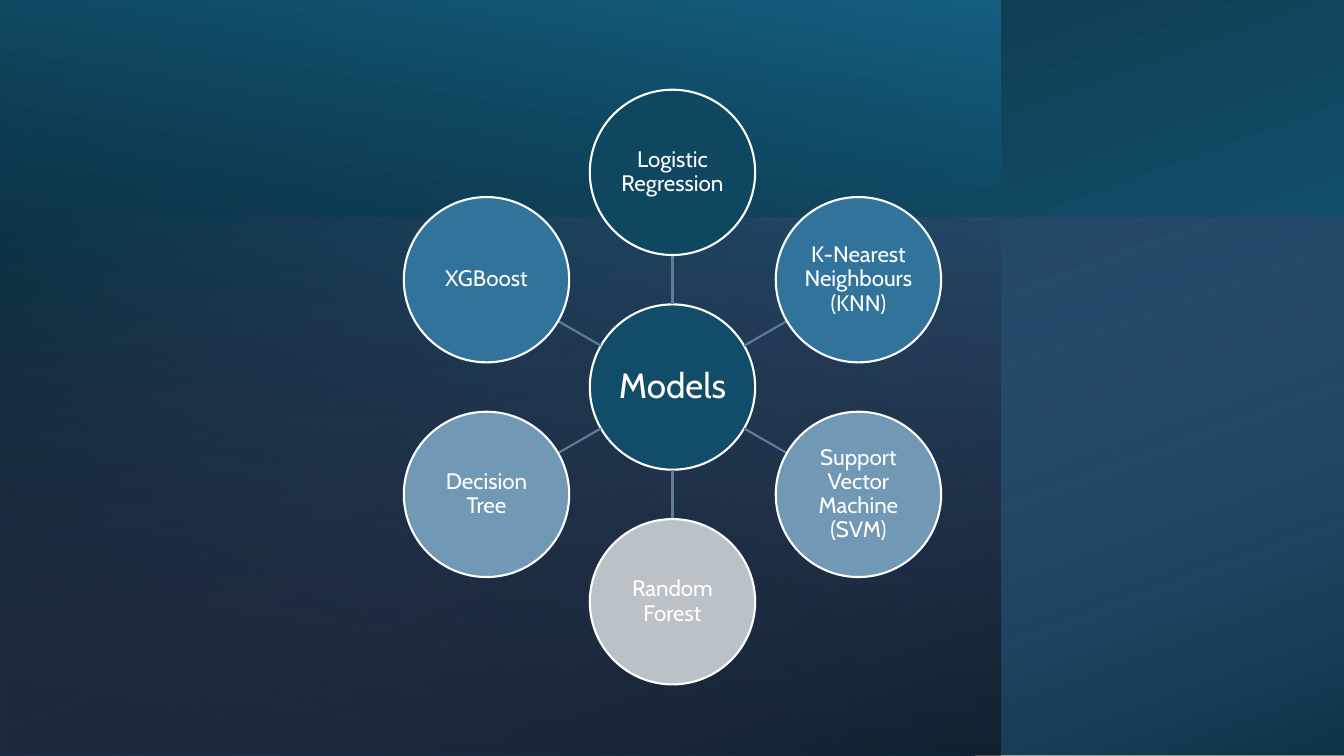
import math
from dataclasses import dataclass

import lxml.etree
import pptx
import pptx.dml.color
import pptx.enum.shapes
import pptx.enum.text
import pptx.oxml
import pptx.oxml.ns
import pptx.util
from pptx.util import Inches

COLORS = {
    "white": "FFFFFF",
    "black": "000000",
    "teal": "156082",
    "deep_teal": "0B3041",
    "orchid": "D86ECC",
    "hub": "114D68",
    "navy": "104760",
    "blue": "31739A",
    "steel": "7198B4",
    "silver": "BAC1C7",
    "spoke": "5F7D95",
}
FONT = "Cabin"
CENTER_X, CENTER_Y = 6.67, 3.84
RING_RADIUS = 2.13
CIRCLE_RADIUS = 0.82
LINE_WIDTH = pptx.util.Pt(1.5)


@dataclass(frozen=True)
class Stop:
    position: int
    color: str
    opacity: int = 100


@dataclass(frozen=True)
class Panel:
    left: float
    top: float
    width: float
    height: float
    rotation: int
    angle: int
    stops: tuple[Stop, Stop]


@dataclass(frozen=True)
class Model:
    label: str
    color: str


PANELS = [
    Panel(2.92, -2.92, 7.5, 13.33, 270, 200, (Stop(8, "teal"), Stop(100, "deep_teal"))),
    Panel(0, 0, 9.92, 7.5, 180, 80, (Stop(8, "black", 52), Stop(100, "teal"))),
    Panel(3.99, -1.84, 5.35, 13.34, 270, 20, (Stop(0, "orchid", 0), Stop(100, "black", 46))),
]

# Clockwise from the top
MODELS = [
    Model("Logistic Regression", "navy"),
    Model("K-Nearest Neighbours (KNN)", "blue"),
    Model("Support Vector Machine (SVM)", "steel"),
    Model("Random Forest", "silver"),
    Model("Decision Tree", "steel"),
    Model("XGBoost", "blue"),
]


def rgb(name: str) -> pptx.dml.color.RGBColor:
    return pptx.dml.color.RGBColor.from_string(COLORS[name])


def gradient_xml(panel: Panel) -> str:
    stops = "".join(
        f'<a:gs pos="{stop.position * 1000}"><a:srgbClr val="{COLORS[stop.color]}">'
        f'<a:alpha val="{stop.opacity * 1000}"/></a:srgbClr></a:gs>'
        for stop in panel.stops
    )
    return (
        f'<a:gradFill {pptx.oxml.ns.nsdecls("a")} rotWithShape="1"><a:gsLst>{stops}</a:gsLst>'
        f'<a:lin ang="{panel.angle * 60000}" scaled="0"/></a:gradFill>'
    )


def add_panel(page: pptx.slide.Slide, panel: Panel) -> None:
    """Add a mirrored, rotated rectangle with a translucent gradient."""
    box = page.shapes.add_shape(
        pptx.enum.shapes.MSO_SHAPE.RECTANGLE,
        Inches(panel.left), Inches(panel.top), Inches(panel.width), Inches(panel.height),
    )
    box.shadow.inherit = False
    box.rotation = panel.rotation
    box.line.fill.background()
    properties = box._element.spPr
    properties.find(pptx.oxml.ns.qn("a:xfrm")).set("flipH", "1")
    outline = properties.find(pptx.oxml.ns.qn("a:prstGeom"))
    outline.addnext(pptx.oxml.parse_xml(gradient_xml(panel)))


def add_circle(page: pptx.slide.Slide, x: float, y: float, model: Model, size: int) -> None:
    """Add a labelled circle centred on x, y."""
    diameter = Inches(2 * CIRCLE_RADIUS)
    circle = page.shapes.add_shape(
        pptx.enum.shapes.MSO_SHAPE.OVAL,
        Inches(x - CIRCLE_RADIUS), Inches(y - CIRCLE_RADIUS), diameter, diameter,
    )
    circle.shadow.inherit = False
    circle.fill.solid()
    circle.fill.fore_color.rgb = rgb(model.color)
    circle.line.color.rgb = rgb("white")
    circle.line.width = LINE_WIDTH

    frame = circle.text_frame
    frame.word_wrap = True
    frame.vertical_anchor = pptx.enum.text.MSO_ANCHOR.MIDDLE
    frame.margin_left = frame.margin_right = Inches(0.01)
    frame.margin_top = frame.margin_bottom = Inches(0.01)
    para = frame.paragraphs[0]
    para.alignment = pptx.enum.text.PP_ALIGN.CENTER
    para.line_spacing = 0.9
    span = para.add_run()
    span.text = model.label
    span.font.name = FONT
    span.font.size = pptx.util.Pt(size)
    span.font.color.rgb = rgb("white")


def ring_point(angle: float, radius: float) -> tuple[float, float]:
    return CENTER_X + radius * math.cos(angle), CENTER_Y + radius * math.sin(angle)


def add_spoke(page: pptx.slide.Slide, angle: float) -> None:
    """Join the edge of the hub to the edge of the circle at this angle."""
    start_x, start_y = ring_point(angle, CIRCLE_RADIUS)
    end_x, end_y = ring_point(angle, RING_RADIUS - CIRCLE_RADIUS)
    spoke = page.shapes.add_connector(
        pptx.enum.shapes.MSO_CONNECTOR.STRAIGHT,
        Inches(start_x), Inches(start_y), Inches(end_x), Inches(end_y),
    )
    spoke.line.color.rgb = rgb("spoke")
    spoke.line.width = LINE_WIDTH
    lxml.etree.SubElement(spoke._element.spPr, pptx.oxml.ns.qn("a:effectLst"))


def main() -> None:
    deck = pptx.Presentation()
    deck.slide_width, deck.slide_height = Inches(13.33), Inches(7.5)
    page = deck.slides.add_slide(deck.slide_layouts[6])

    for panel in PANELS:
        add_panel(page, panel)

    add_circle(page, CENTER_X, CENTER_Y, Model("Models", "hub"), 25)
    for index, model in enumerate(MODELS):
        angle = math.tau * index / len(MODELS) - math.pi / 2
        add_spoke(page, angle)
        add_circle(page, *ring_point(angle, RING_RADIUS), model, 16)

    deck.save("out.pptx")


if __name__ == "__main__":
    main()
